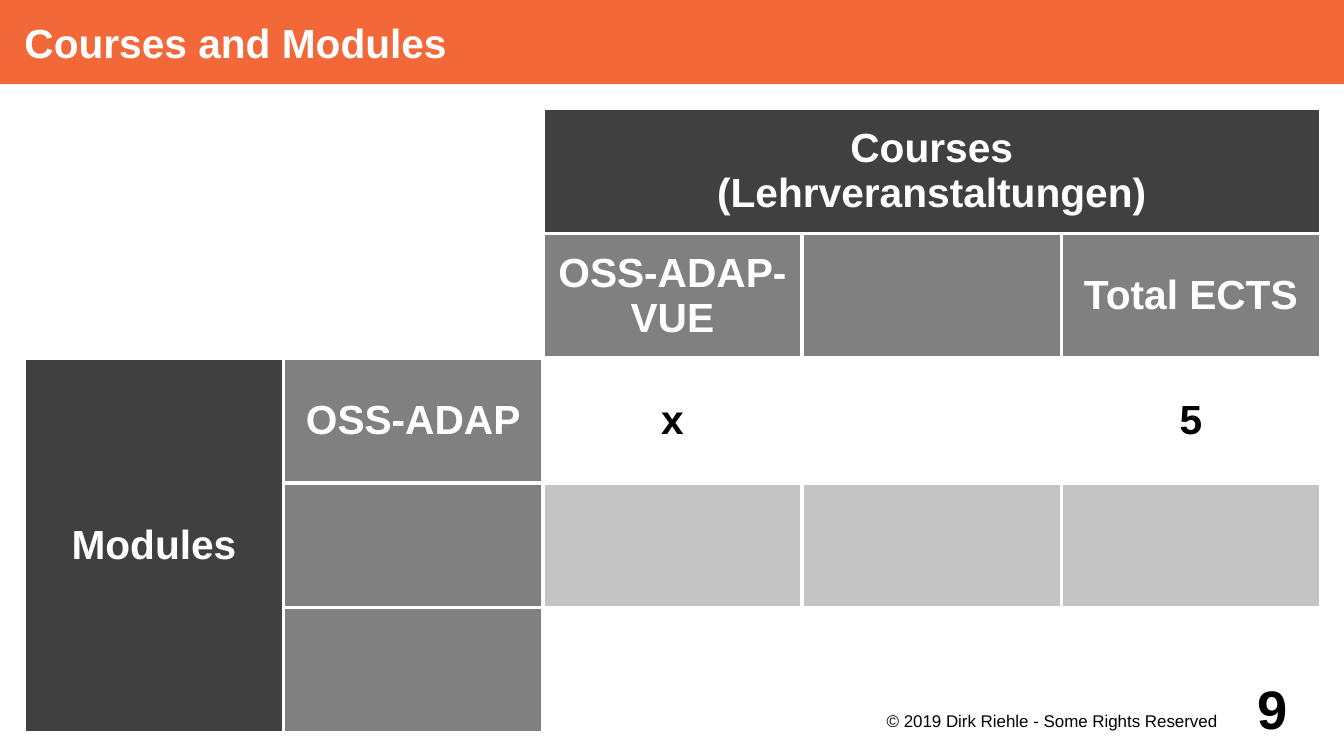
from dataclasses import dataclass

from lxml.etree import SubElement
from pptx import Presentation
from pptx.dml.color import RGBColor
from pptx.enum.shapes import MSO_SHAPE as Shape
from pptx.enum.text import MSO_ANCHOR as Anchor, PP_ALIGN as Align
from pptx.oxml.ns import qn
from pptx.util import Inches, Pt

WIDTH, HEIGHT = Inches(11.02), Inches(6.2)
ROWS, COLS = 5, 5
COLORS = {
    "orange": "F36838",
    "dark": "404040",
    "mid": "808080",
    "light": "C4C4C4",
    "white": "FFFFFF",
    "black": "000000",
}


@dataclass(frozen=True)
class Box:
    """Place on the slide, in percent of its width and height."""
    left: float
    top: float
    width: float
    height: float

    def place(self) -> tuple[int, int, int, int]:
        return (round(self.left * WIDTH / 100), round(self.top * HEIGHT / 100),
                round(self.width * WIDTH / 100), round(self.height * HEIGHT / 100))


@dataclass(frozen=True)
class Label:
    box: Box
    text: str
    size: int
    color: str = "black"
    bold: bool = True
    align: Align = Align.CENTER
    anchor: Anchor = Anchor.MIDDLE
    inset: tuple[float, float, float, float] = (0, 0, 0, 0)
    fill: str = ""


@dataclass(frozen=True)
class Head:
    """Table text, with the rows and columns that its cell spans."""
    row: int
    col: int
    text: str
    color: str = "white"
    rows: int = 1
    cols: int = 1


LABELS = [
    Label(Box(0, 0, 100, 11.13), "Courses and Modules", 24, "white",
          align=Align.LEFT, inset=(0.2, 0, 0, 0), fill="orange"),
    Label(Box(64.34, 93.71, 28.58, 4.84), "© 2019 Dirk Riehle - Some Rights Reserved",
          10, bold=False, anchor=Anchor.TOP, inset=(0, 0.02, 0.08, 0)),
    Label(Box(91.11, 88.87, 7.17, 9.52), "9", 32),
]
GRID = Box(1.81, 14.35, 96.46, 82.58)
HEADS = [
    Head(0, 2, "Courses\n(Lehrveranstaltungen)", cols=3),
    Head(1, 2, "OSS-ADAP-VUE"),
    Head(1, 4, "Total ECTS"),
    Head(2, 0, "Modules", rows=3),
    Head(2, 1, "OSS-ADAP"),
    Head(2, 2, "x", "black"),
    Head(2, 4, "5", "black"),
]


def rgb(name: str) -> RGBColor:
    return RGBColor.from_string(COLORS[name])


def write(frame, text: str, size: int, color: str, bold: bool, align: Align) -> None:
    para = frame.paragraphs[0]
    para.alignment = align
    for i, line in enumerate(text.split("\n")):
        if i:
            para.add_line_break()
        run = para.add_run()
        run.text = line
        font = run.font
        font.name, font.size, font.bold = "Arial", Pt(size), bold
        font.color.rgb = rgb(color)


def draw_label(slide, label: Label) -> None:
    if label.fill:
        shape = slide.shapes.add_shape(Shape.RECTANGLE, *label.box.place())
        shape.shadow.inherit = False
        shape.fill.solid()
        shape.fill.fore_color.rgb = rgb(label.fill)
        shape.line.fill.background()
    else:
        shape = slide.shapes.add_textbox(*label.box.place())
    frame = shape.text_frame
    frame.word_wrap = True
    frame.vertical_anchor = label.anchor
    (frame.margin_left, frame.margin_top,
     frame.margin_right, frame.margin_bottom) = map(Inches, label.inset)
    write(frame, label.text, label.size, label.color, label.bold, label.align)


def shade(row: int, col: int) -> str:
    """Colour of a cell: two header bands, then striped rows."""
    if row < 2 and col < 2:
        return "white"
    if row == 0 or col == 0:
        return "dark"
    if row == 1 or col == 1:
        return "mid"
    return "light" if row == 3 else "white"


def edge(cell) -> None:
    """Put a white border on all sides, ahead of the fill."""
    props = cell._tc.get_or_add_tcPr()
    for i, side in enumerate("LRTB"):
        line = SubElement(props, qn(f"a:ln{side}"), w=str(Pt(2.27)))
        fill = SubElement(line, qn("a:solidFill"))
        SubElement(fill, qn("a:srgbClr"), val=COLORS["white"])
        props.insert(i, line)


def draw_table(slide, box: Box, heads: list[Head]) -> None:
    left, top, width, height = box.place()
    table = slide.shapes.add_table(ROWS, COLS, left, top, width, height).table
    table.first_row = table.horz_banding = False
    for row in table.rows:
        row.height = height // ROWS
    for col in table.columns:
        col.width = width // COLS
    for i in range(ROWS):
        for j in range(COLS):
            cell = table.cell(i, j)
            cell.fill.solid()
            cell.fill.fore_color.rgb = rgb(shade(i, j))
            cell.margin_left = cell.margin_right = Inches(0.08)
            cell.margin_top = cell.margin_bottom = Inches(0.05)
            cell.vertical_anchor = Anchor.MIDDLE
            edge(cell)
    for head in heads:
        cell = table.cell(head.row, head.col)
        if head.rows > 1 or head.cols > 1:
            cell.merge(table.cell(head.row + head.rows - 1, head.col + head.cols - 1))
        write(cell.text_frame, head.text, 24, head.color, True, Align.CENTER)


def main() -> None:
    deck = Presentation()
    deck.slide_width, deck.slide_height = WIDTH, HEIGHT
    slide = deck.slides.add_slide(deck.slide_layouts[6])
    title, *notes = LABELS
    draw_label(slide, title)
    draw_table(slide, GRID, HEADS)
    for note in notes:
        draw_label(slide, note)
    deck.save("out.pptx")


if __name__ == "__main__":
    main()
